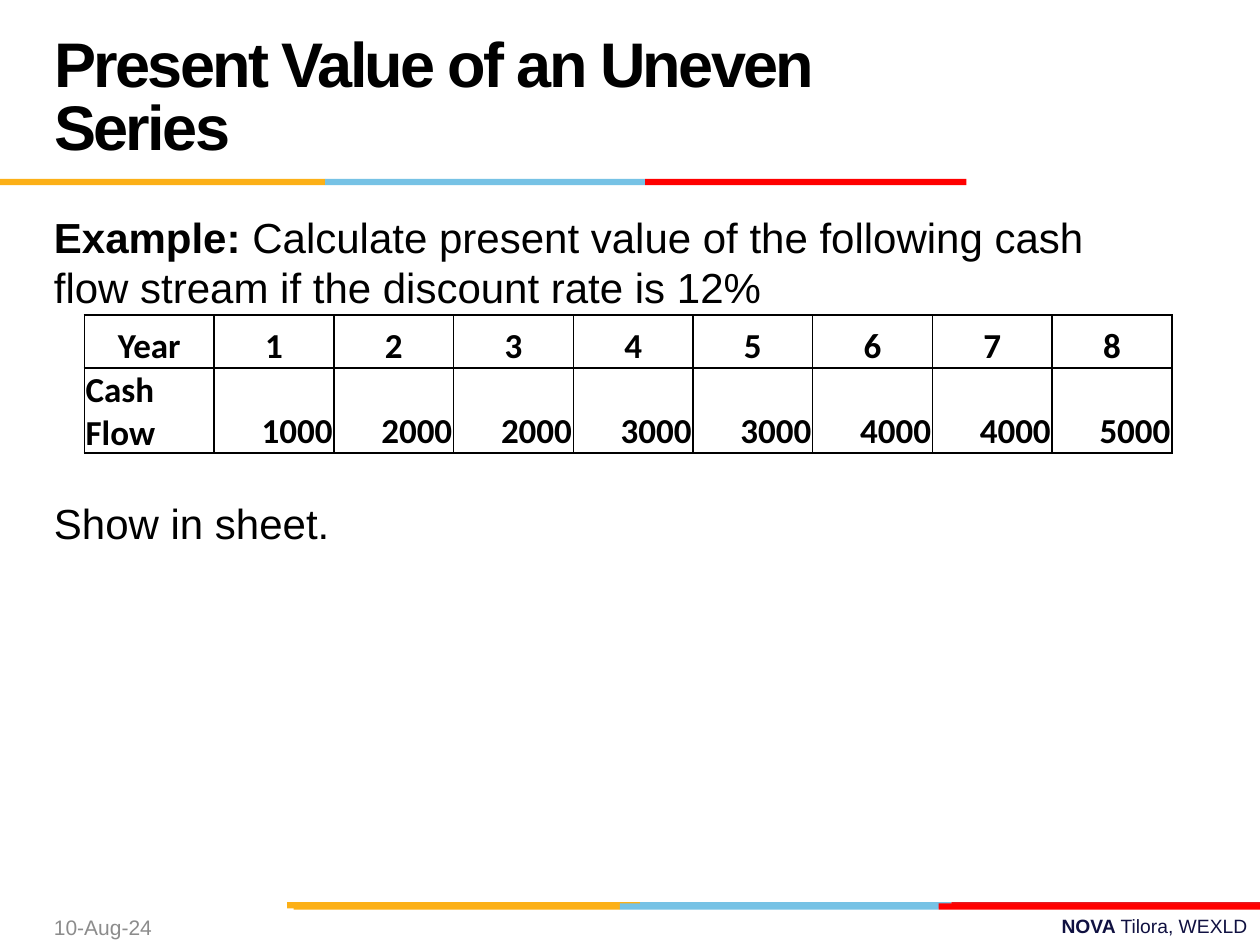
from dataclasses import dataclass

import pptx
import pptx.dml.color
import pptx.enum.shapes
import pptx.enum.text
import pptx.oxml
import pptx.oxml.ns
import pptx.util
from pptx.util import Inches

ALIGN = pptx.enum.text.PP_ALIGN
ANCHOR = pptx.enum.text.MSO_ANCHOR


@dataclass(frozen=True)
class Theme:
    black: str = "000000"
    navy: str = "101141"
    gray: str = "8C8C8C"
    amber: str = "FCB017"
    blue: str = "76C2E5"
    red: str = "FF0000"
    crimson: str = "E31C24"
    font: str = "Arial"
    table_font: str = "Calibri"
    title: int = 36
    body: int = 24
    table: int = 20
    date: int = 12
    footer: int = 11


@dataclass(frozen=True)
class Stripe:
    """Coloured segments laid end to end between the given edges."""
    top: float
    edges: tuple
    colors: tuple


T = Theme()
STRIPES = [
    Stripe(7.16, (2.28, 5.08, 7.55, 10), (T.amber, T.blue, T.crimson)),
    Stripe(7.17, (2.33, 4.92, 7.45, 10), (T.amber, T.blue, T.red)),
    Stripe(1.42, (0, 2.58, 5.12, 7.67), (T.amber, T.blue, T.red)),
]
YEARS = ["Year", *range(1, 9)]
CASH_FLOWS = ["Cash Flow", 1000, 2000, 2000, 3000, 3000, 4000, 4000, 5000]


def rgb(color: str):
    return pptx.dml.color.RGBColor.from_string(color)


def set_attrs(obj, **values) -> None:
    for name, value in values.items():
        setattr(obj, name, value)


def add_run(p, text: str, size: int, color: str = T.black,
            bold: bool = False, font: str = T.font):
    r = p.add_run()
    r.text = text
    set_attrs(r.font, name=font, size=pptx.util.Pt(size), bold=bold)
    r.font.color.rgb = rgb(color)
    return r


def add_text(slide, left: float, top: float, width: float, height: float,
             anchor=ANCHOR.TOP):
    box = slide.shapes.add_textbox(*map(Inches, (left, top, width, height)))
    tf = box.text_frame
    set_attrs(tf, word_wrap=True, vertical_anchor=anchor)
    return tf


def add_stripe(slide, stripe: Stripe) -> None:
    for left, right, color in zip(stripe.edges, stripe.edges[1:], stripe.colors):
        sp = slide.shapes.add_shape(
            pptx.enum.shapes.MSO_SHAPE.RECTANGLE,
            *map(Inches, (left, stripe.top, right - left, 0.05)))
        sp.shadow.inherit = False
        sp.fill.solid()
        sp.fill.fore_color.rgb = rgb(color)
        sp.line.fill.background()


def add_borders(cell) -> None:
    tc_pr = cell._tc.get_or_add_tcPr()
    for i, side in enumerate(("lnL", "lnR", "lnT", "lnB")):
        tc_pr.insert(i, pptx.oxml.parse_xml(
            f'<a:{side} {pptx.oxml.ns.nsdecls("a")} w="12700"><a:solidFill>'
            f'<a:srgbClr val="{T.black}"/></a:solidFill></a:{side}>'))


def add_cash_flow_table(slide) -> None:
    rows = [YEARS, CASH_FLOWS]
    table = slide.shapes.add_table(
        2, len(YEARS), *map(Inches, (0.67, 2.5, 8.67, 1.09))).table
    set_attrs(table, first_row=False, horz_banding=False)
    for i, col in enumerate(table.columns):
        col.width = Inches(0.95 if i else 1.03)
    for row, height in zip(table.rows, (0.42, 0.67)):
        row.height = Inches(height)
    for i, values in enumerate(rows):
        for j, value in enumerate(values):
            cell = table.cell(i, j)
            inset = Inches(0.01)
            set_attrs(cell, vertical_anchor=ANCHOR.BOTTOM, margin_left=inset,
                      margin_right=inset, margin_top=inset, margin_bottom=0)
            cell.fill.background()
            add_borders(cell)
            p = cell.text_frame.paragraphs[0]
            p.alignment = ALIGN.CENTER if i == 0 else ALIGN.RIGHT if j else ALIGN.LEFT
            add_run(p, str(value), T.table, bold=True, font=T.table_font)


def add_title(slide) -> None:
    title = slide.shapes.title
    set_attrs(title, left=Inches(0.33), top=Inches(0.17),
              width=Inches(6.92), height=Inches(1.25))
    tf = title.text_frame
    set_attrs(tf, word_wrap=True, vertical_anchor=ANCHOR.MIDDLE,
              auto_size=pptx.enum.text.MSO_AUTO_SIZE.NONE)
    p = tf.paragraphs[0]
    set_attrs(p, alignment=ALIGN.LEFT, line_spacing=pptx.util.Pt(36))
    r = add_run(p, "Present Value of an Uneven Series", T.title, bold=True)
    r.font._element.set("spc", "-150")


def add_body(slide) -> None:
    tf = add_text(slide, 0.33, 1.63, 9, 4.95)
    p = tf.paragraphs[0]
    p.space_before = pptx.util.Pt(4.8)
    add_run(p, "Example: ", T.body, bold=True)
    add_run(p, "Calculate present value of the following cash flow stream "
               "if the discount rate is 12%", T.body)
    # The second paragraph clears the table
    p = tf.add_paragraph()
    p.space_before = pptx.util.Pt(106)
    add_run(p, "Show in sheet.", T.body)


def add_footer(slide) -> None:
    p = add_text(slide, 7.83, 7.21, 2.17, 0.29).paragraphs[0]
    p.alignment = ALIGN.RIGHT
    add_run(p, "NOVA ", T.footer, T.navy, bold=True)
    add_run(p, "Tilora, WEXLD", T.footer, T.navy)
    tf = add_text(slide, 0.33, 7.21, 2.33, 0.29, ANCHOR.MIDDLE)
    add_run(tf.paragraphs[0], "10-Aug-24", T.date, T.gray)


def main() -> None:
    prs = pptx.Presentation()
    set_attrs(prs, slide_width=Inches(10), slide_height=Inches(7.5))
    slide = prs.slides.add_slide(prs.slide_layouts[5])
    # Coloured rules above the footer and below the title
    for stripe in STRIPES:
        add_stripe(slide, stripe)
    # Content
    add_title(slide)
    add_body(slide)
    add_cash_flow_table(slide)
    add_footer(slide)
    prs.save("out.pptx")


if __name__ == "__main__":
    main()
